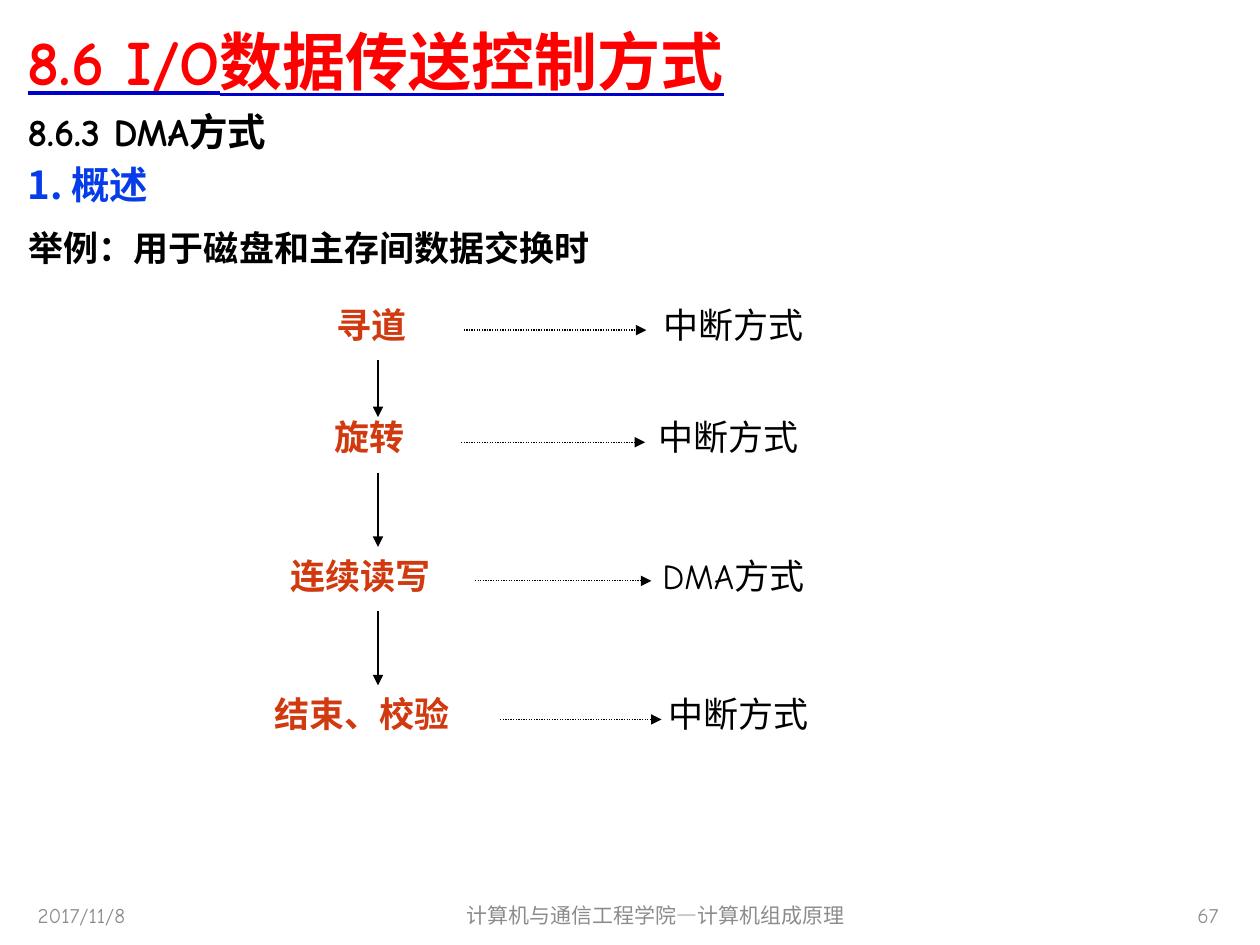
from lxml import etree
from pptx import Presentation
from pptx.dml.color import RGBColor
from pptx.enum import dml, shapes, text
from pptx.oxml import ns
from pptx.util import Inches, Pt

WIDTH, HEIGHT = 10, 7.5
LATIN, CJK = "Comic Neue", "Noto Sans CJK SC"
BLACK, RED, BLUE, RUST, GREY = "000000", "FF0000", "063DE8", "D1390F", "8C8C8C"
UNDERLINE = "0000CC"
MIDDLE = text.MSO_ANCHOR.MIDDLE
ALIGN = text.PP_ALIGN

# Content: wording, (left, top, width, height), format
HEADINGS = [
    ("8.6 I/O数据传送控制方式", (0.12, 0.05, 9.69, 0.85),
     dict(size=36, color=RED, bold=True, underline=True, anchor=MIDDLE)),
    ("8.6.3 DMA方式", (0.12, 0.81, 9.69, 6.23), dict(size=22, bold=True)),
    ("1. 概述", (0.12, 1.23, 3.22, 0.47),
     dict(size=22, color=BLUE, bold=True, latin=CJK)),
    ("举例：用于磁盘和主存间数据交换时", (0.13, 1.75, 5.8, 0.39),
     dict(bold=True, align=ALIGN.JUSTIFY)),
]
FOOTERS = [
    ("2017/11/8", 0.2, 2.33, ALIGN.LEFT),
    ("计算机与通信工程学院—计算机组成原理", 3.35, 3.71, ALIGN.CENTER),
    ("67", 7.44, 2.33, ALIGN.RIGHT),
]
# Each step: name, left, top, width; arrow from, to; mode, left
STEPS = [
    ("寻道", 2.57, 2.36, 1.8, 3.68, 5.13, "中断方式", 5.17),
    ("旋转", 2.56, 3.25, 1.8, 3.66, 5.12, "中断方式", 5.13),
    ("连续读写", 2.21, 4.35, 1.8, 3.77, 5.17, "DMA方式", 5.16),
    ("结束、校验", 2.08, 5.45, 1.93, 3.97, 5.25, "中断方式", 5.21),
]
FLOW_X, ROW_HEIGHT = 3, 0.44
ARROW_STARTS_AFTER, ARROW_ENDS = 0.5, (3.31, 4.34, 5.44)


def rgb(value):
    return RGBColor.from_string(value)


def add_text(page, words, place, size=20, color=BLACK, bold=False,
             underline=False, latin=LATIN, align=ALIGN.LEFT, anchor=text.MSO_ANCHOR.TOP):
    box = page.shapes.add_textbox(*map(Inches, place))
    frame = box.text_frame
    frame.word_wrap, frame.vertical_anchor = True, anchor
    para = frame.paragraphs[0]
    para.alignment = align
    span = para.add_run()
    span.text = words
    span.font.color.rgb = rgb(color)
    formats = dict(size=Pt(size), bold=bold, underline=underline, name=latin)
    for name, value in formats.items():
        setattr(span.font, name, value)
    # Underline colour and East Asian font go around the Latin font
    props = span.font._element
    latin_font = props.find(ns.qn("a:latin"))
    if underline:
        line_fill = etree.Element(ns.qn("a:uFill"))
        solid = etree.SubElement(line_fill, ns.qn("a:solidFill"))
        etree.SubElement(solid, ns.qn("a:srgbClr"), val=UNDERLINE)
        latin_font.addprevious(line_fill)
    latin_font.addnext(etree.Element(ns.qn("a:ea"), typeface=CJK))


def add_arrow(page, start, end, dotted=False):
    arrow = page.shapes.add_connector(
        shapes.MSO_CONNECTOR.STRAIGHT, *map(Inches, start + end))
    arrow.line.color.rgb = rgb(BLACK)
    arrow.line.width = Pt(0.75)
    if dotted:
        arrow.line.dash_style = dml.MSO_LINE.ROUND_DOT
    etree.SubElement(arrow.line._get_or_add_ln(), ns.qn("a:tailEnd"), type="triangle")
    etree.SubElement(arrow._element.spPr, ns.qn("a:effectLst"))


def main():
    deck = Presentation()
    deck.slide_width, deck.slide_height = Inches(WIDTH), Inches(HEIGHT)
    page = deck.slides.add_slide(deck.slide_layouts[6])

    # Headings and footer
    for words, place, formats in HEADINGS:
        add_text(page, words, place, **formats)
    for words, left, width, align in FOOTERS:
        add_text(page, words, (left, HEIGHT - 0.44, width, 0.4),
                 size=12, color=GREY, align=align, anchor=MIDDLE)

    # Steps with the transfer mode each one uses
    for name, left, top, width, start, end, mode, mode_left in STEPS:
        add_text(page, name, (left, top, width, ROW_HEIGHT), color=RUST, bold=True)
        add_text(page, mode, (mode_left, top, 1.8, ROW_HEIGHT))
        arrow_y = top + 0.26
        add_arrow(page, (start, arrow_y), (end, arrow_y), dotted=True)

    # Flow from each step to the next
    for step, arrow_end in zip(STEPS, ARROW_ENDS):
        add_arrow(page, (FLOW_X, step[2] + ARROW_STARTS_AFTER), (FLOW_X, arrow_end))

    deck.save("out.pptx")


if __name__ == "__main__":
    main()
